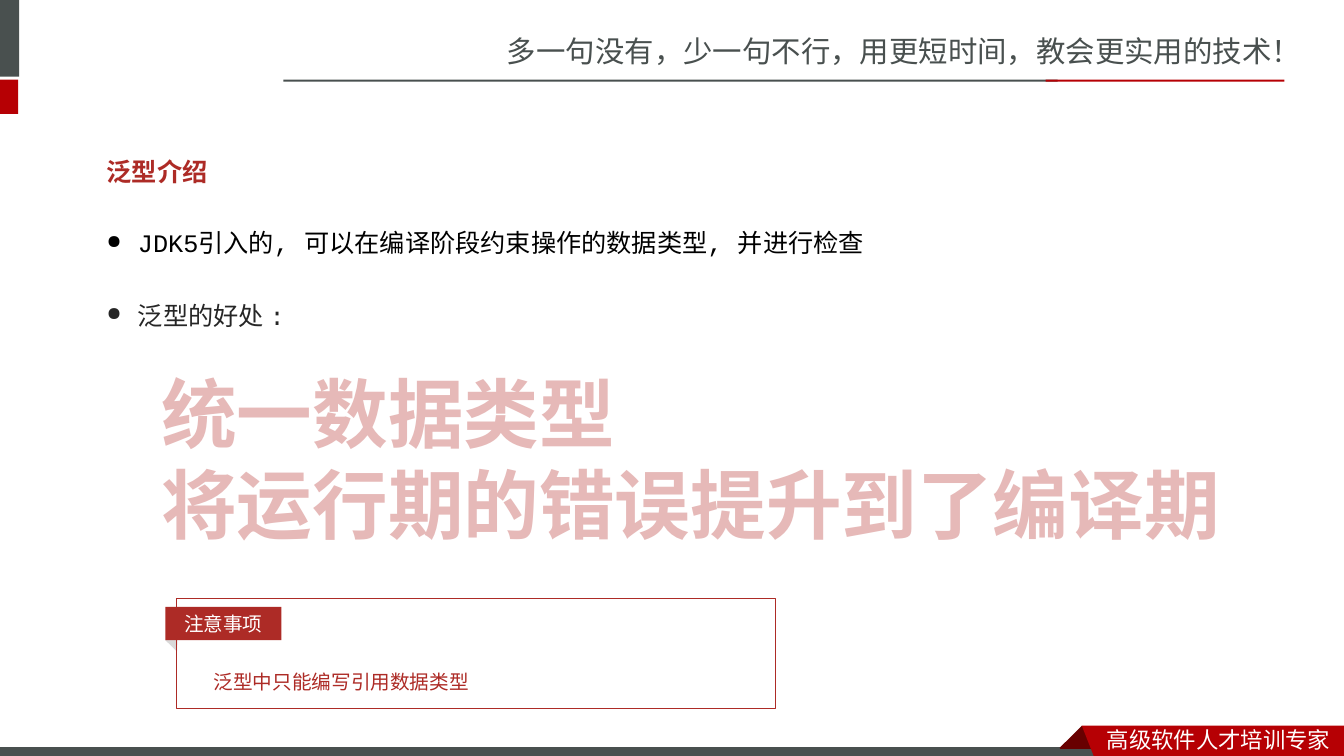
"""Build the slide that introduces Java generics."""
from lxml import etree
from pptx import Presentation
from pptx.dml.color import RGBColor
from pptx.enum.shapes import MSO_SHAPE
from pptx.enum.text import MSO_ANCHOR, PP_ALIGN
from pptx.oxml.ns import qn
from pptx.util import Inches, Pt

RECT, TRIANGLE = MSO_SHAPE.RECTANGLE, MSO_SHAPE.ISOSCELES_TRIANGLE
MIDDLE, CENTER = MSO_ANCHOR.MIDDLE, PP_ALIGN.CENTER
CJK, CODE, LATO = "Noto Sans CJK SC", "Courier New", "Lato"
GREY, RED, DARK_RED, BRICK, WHITE = "49504F", "B60004", "680000", "AD2B26", "FFFFFF"


def paint(shape, fill=None, line=None):
    shape.shadow.inherit = False
    for part, color in ((shape.fill, fill), (shape.line.fill, line)):
        if color:
            part.solid()
            part.fore_color.rgb = RGBColor.from_string(color)
        else:
            part.background()
    if line:
        shape.line.width = Pt(0.75)


def write(shape, lines, font, size, color, bold=False, spacing=None, bullet=None, outline=None):
    frame = shape.text_frame
    frame.word_wrap = True
    for index, line in enumerate(lines):
        paragraph = frame.paragraphs[0] if index == 0 else frame.add_paragraph()
        if bullet:
            properties = paragraph._p.get_or_add_pPr()
            properties.set("marL", str(Inches(0.31)))
            properties.set("indent", str(-Inches(0.31)))
            etree.SubElement(properties, qn("a:buSzPct")).set("val", "75000")
            etree.SubElement(properties, qn("a:buChar")).set("char", bullet)
        if spacing:
            paragraph.line_spacing = spacing
        run = paragraph.add_run()
        run.text = line
        for name, value in {"name": font, "size": Pt(size), "bold": bold}.items():
            setattr(run.font, name, value)
        run.font.color.rgb = RGBColor.from_string(color)
        run_properties = run._r.get_or_add_rPr()
        east_asian = font if "CJK" in font else CJK
        etree.SubElement(run_properties, qn("a:ea")).set("typeface", east_asian)
        if outline:
            edge = etree.Element(qn("a:ln"), w=str(Pt(1.75)))
            edge_fill = etree.SubElement(edge, qn("a:solidFill"))
            etree.SubElement(edge_fill, qn("a:srgbClr")).set("val", outline)
            run_properties.insert(0, edge)


presentation = Presentation()
presentation.slide_width, presentation.slide_height = Inches(13.33), Inches(7.5)
slide = presentation.slides.add_slide(presentation.slide_layouts[6])
shapes = slide.shapes

frame_bars = [
    (-0.06, 0, 0.25, 0.76, GREY, None),
    (-0.06, 0.79, 0.24, 0.34, RED, None),
    (2.81, 0.79, 7.68, 0.02, GREY, None),
    (10.37, 0.79, 2.37, 0.02, RED, None),
    (-0.01, 7.41, 11, 0.12, GREY, WHITE),
]
ribbon_fold = [(10.73, 7.2), (10.95, 7.42), (10.94, 7.43), (10.52, 7.43), (10.51, 7.42)]
ribbon = [(10.73, 7.2), (13.33, 7.2), (13.33, 7.54), (10.86, 7.53)]

for *box, fill, line in frame_bars:
    paint(shapes.add_shape(RECT, *map(Inches, box)), fill, line)
for corners, fill in ((ribbon_fold, DARK_RED), (ribbon, RED)):
    start, *others = [(Inches(x), Inches(y)) for x, y in corners]
    builder = shapes.build_freeform(*start)
    builder.add_line_segments(others, close=True)
    paint(builder.convert_to_shape(), fill)

note_fold = shapes.add_shape(TRIANGLE, Inches(1.65), Inches(6.33), Inches(0.16), Inches(0.09))
note_fold.rotation = 44.2
paint(note_fold, "D9D9D9")

texts = [
    ((4.93, 0.28, 8.41, 0.47), ["多一句没有，少一句不行，用更短时间，教会更实用的技术！"],
     dict(font=CJK, size=21, color=GREY)),
    ((10.88, 7.15, 2.45, 0.37), ["高级软件人才培训专家"], dict(font=CJK, size=16, color=WHITE)),
    ((0.96, 1.2, 5.12, 0.63), ["泛型介绍"],
     dict(font=CODE, size=18, color=BRICK, bold=True, spacing=2.0)),
    ((0.96, 1.91, 11.03, 0.63), ["JDK5引入的, 可以在编译阶段约束操作的数据类型, 并进行检查"],
     dict(font=CODE, size=18, color="000000", spacing=2.0, bullet="●")),
    ((0.96, 2.63, 11.03, 0.63), ["泛型的好处 :"],
     dict(font=CODE, size=18, color="262626", spacing=2.0, bullet="●")),
    ((1.5, 3.59, 10.71, 1.92), ["统一数据类型", "将运行期的错误提升到了编译期"],
     dict(font="Noto Sans CJK JP", size=54, color="E6B9B8", bold=True, outline="C0504D")),
    ((2.02, 6.48, 7.4, 0.41), ["泛型中只能编写引用数据类型"],
     dict(font=LATO, size=14, color=BRICK, spacing=1.5)),
]
for box, lines, style in texts:
    write(shapes.add_textbox(*map(Inches, box)), lines, **style)

note_border = shapes.add_shape(RECT, Inches(1.75), Inches(5.94), Inches(5.94), Inches(1.09))
paint(note_border, line=BRICK)
note_label = shapes.add_shape(RECT, Inches(1.64), Inches(6.02), Inches(1.15), Inches(0.33))
paint(note_label, BRICK)
write(note_label, ["注意事项"], LATO, 14, WHITE)
note_label.text_frame.vertical_anchor = MIDDLE
note_label.text_frame.paragraphs[0].alignment = CENTER

presentation.save("out.pptx")
